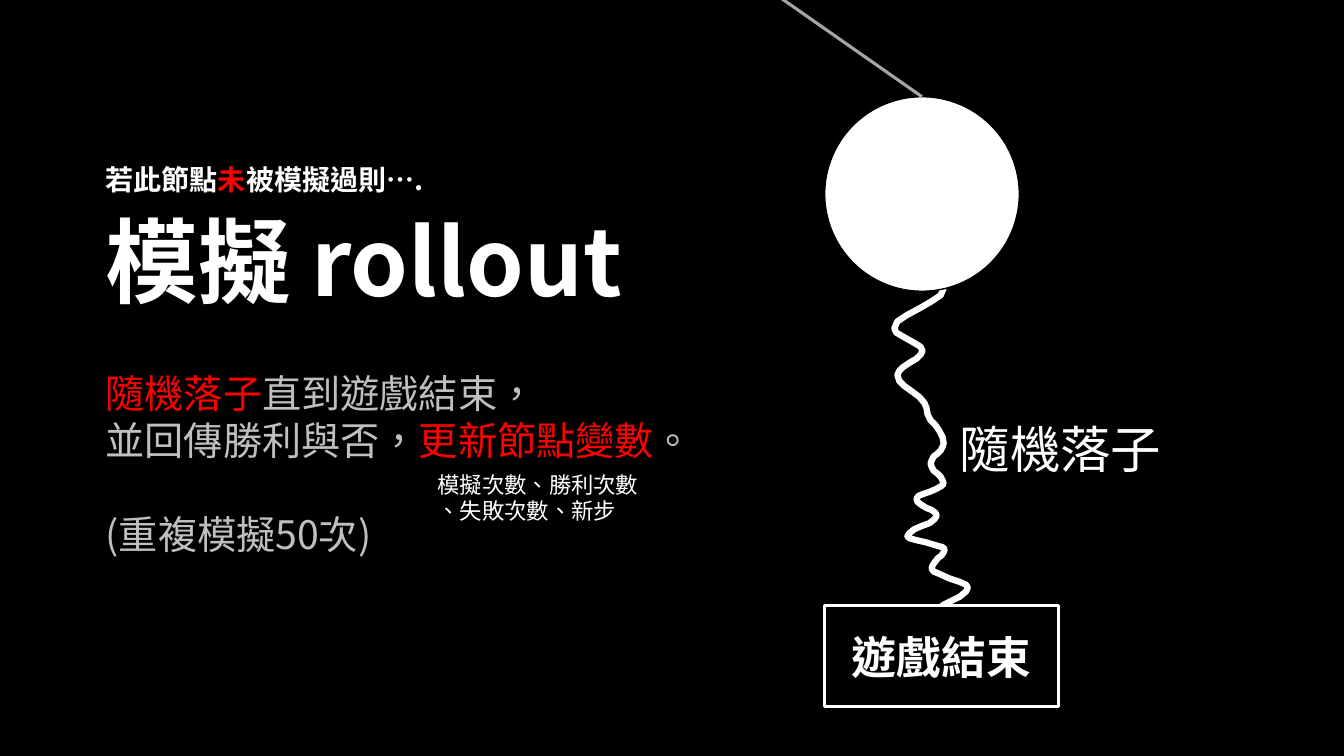
import itertools
import math

import pptx
import pptx.dml.color
import pptx.enum.shapes
import pptx.enum.text
import pptx.oxml
import pptx.oxml.ns
import pptx.util

PX = 9144  # 100 px to the inch
FONT = "Noto Sans CJK SC"
BLACK = pptx.dml.color.RGBColor(0x00, 0x00, 0x00)
WHITE = pptx.dml.color.RGBColor(0xFF, 0xFF, 0xFF)
RED = pptx.dml.color.RGBColor(0xFF, 0x00, 0x00)
SILVER = pptx.dml.color.RGBColor(0xBF, 0xBF, 0xBF)
GRAY = pptx.dml.color.RGBColor(0xA5, 0xA5, 0xA5)
MIDDLE = pptx.enum.text.MSO_ANCHOR.MIDDLE
AUTO_SIZE = pptx.enum.text.MSO_AUTO_SIZE
SHAPE = pptx.enum.shapes.MSO_SHAPE


def write(frame, lines, size, bold=False):
    """Fill a text frame with lines, each a list of (text, colour) runs."""
    for number, line in enumerate(lines):
        paragraph = frame.add_paragraph() if number else frame.paragraphs[0]
        for text, color in line:
            run = paragraph.add_run()
            run.text = text
            run.font.size = pptx.util.Pt(size)
            run.font.bold = bold
            run.font.color.rgb = color
            run.font.name = FONT
            properties = run.font._element
            properties.set("lang", "zh-TW")
            properties.find(pptx.oxml.ns.qn("a:latin")).addnext(pptx.oxml.parse_xml(
                f'<a:ea {pptx.oxml.ns.nsdecls("a")} typeface="{FONT}"/>'))


def add_text(box, lines, size, bold=False, wrap=False):
    """Add a text box at (left, top, width, height) in px."""
    frame = slide.shapes.add_textbox(*(length * PX for length in box)).text_frame
    frame.word_wrap = wrap
    frame.auto_size = AUTO_SIZE.SHAPE_TO_FIT_TEXT
    write(frame, lines, size, bold)
    return frame


presentation = pptx.Presentation()
presentation.slide_width = 1333 * PX
presentation.slide_height = 750 * PX
slide = presentation.slides.add_slide(presentation.slide_layouts[6])
slide.background.fill.solid()
slide.background.fill.fore_color.rgb = BLACK

# Left column: condition, title and explanation share one left edge
column_left = 95
add_text((column_left, 156, 329, 44),
         [[("若此節點", WHITE), ("未", RED), ("被模擬過則….", WHITE)]], 20, bold=True)

title = add_text((column_left, 207, 661, 114),
                 [[("模擬 rollout", WHITE)]], 66, bold=True, wrap=True)
title.auto_size = AUTO_SIZE.NONE
title.vertical_anchor = MIDDLE
title.paragraphs[0].line_spacing = 0.9

explanation = add_text((column_left, 361, 609, 205), [
    [("隨機落子", RED), ("直到遊戲結束，", SILVER)],
    [("並回傳勝利與否，", SILVER), ("更新節點變數", RED), ("。", SILVER)],
    [("(重複模擬50次)", SILVER)],
], 28)
explanation.paragraphs[2].space_before = pptx.util.Pt(34)

add_text((424, 462, 220, 64),
         [[("模擬次數、勝利次數", WHITE)], [("、失敗次數、新步", WHITE)]], 16, wrap=True)

# Random playout: swings between its turns, each swing eased by a half cosine
playout_turns = [
    (936, 286), (887, 326), (915, 348), (890, 372), (919, 405), (936, 440),
    (923, 460), (936, 480), (909, 495), (929, 512), (900, 532), (937, 545),
    (924, 564), (960, 583), (928, 609),
]
steps_per_swing = 6
playout_builder = slide.shapes.build_freeform(*playout_turns[0], scale=PX)
for (x0, y0), (x1, y1) in itertools.pairwise(playout_turns):
    swing = []
    for step in range(1, steps_per_swing + 1):
        progress = step / steps_per_swing
        eased = (1 - math.cos(math.pi * progress)) / 2
        swing.append((x0 + (x1 - x0) * eased, y0 + (y1 - y0) * progress))
    playout_builder.add_line_segments(swing, close=False)
playout = playout_builder.convert_to_shape()
playout.shadow.inherit = False
playout.fill.background()
playout.line.color.rgb = WHITE
playout.line.width = pptx.util.Pt(4.5)

# Game end box and tree node cover the two ends of the playout
tree_left = 818
node_top, node_size = 96, 193
game_end = slide.shapes.add_shape(
    SHAPE.RECTANGLE, tree_left * PX, 601 * PX, 232 * PX, 100 * PX)
node = slide.shapes.add_shape(
    SHAPE.OVAL, tree_left * PX, node_top * PX, node_size * PX, node_size * PX)
for stage, fill, outline, width in (
        (game_end, BLACK, WHITE, 2.25), (node, WHITE, BLACK, 1)):
    stage.shadow.inherit = False
    stage.fill.solid()
    stage.fill.fore_color.rgb = fill
    stage.line.color.rgb = outline
    stage.line.width = pptx.util.Pt(width)
game_end.text_frame.vertical_anchor = MIDDLE
write(game_end.text_frame, [[("遊戲結束", WHITE)]], 32, bold=True)
game_end.text_frame.paragraphs[0].alignment = pptx.enum.text.PP_ALIGN.CENTER

# Branch from the parent into the top of the node
branch = slide.shapes.add_connector(
    pptx.enum.shapes.MSO_CONNECTOR.STRAIGHT,
    743 * PX, -24 * PX, (tree_left + node_size // 2) * PX, node_top * PX)
branch.end_connect(node, 0)
branch.line.color.rgb = GRAY
branch.line.width = pptx.util.Pt(2.25)
branch._element.spPr.append(
    pptx.oxml.parse_xml(f'<a:effectLst {pptx.oxml.ns.nsdecls("a")}/>'))

# Playout label
add_text((942, 410, 222, 71), [[("隨機落子", WHITE)]], 36)

presentation.save("out.pptx")
